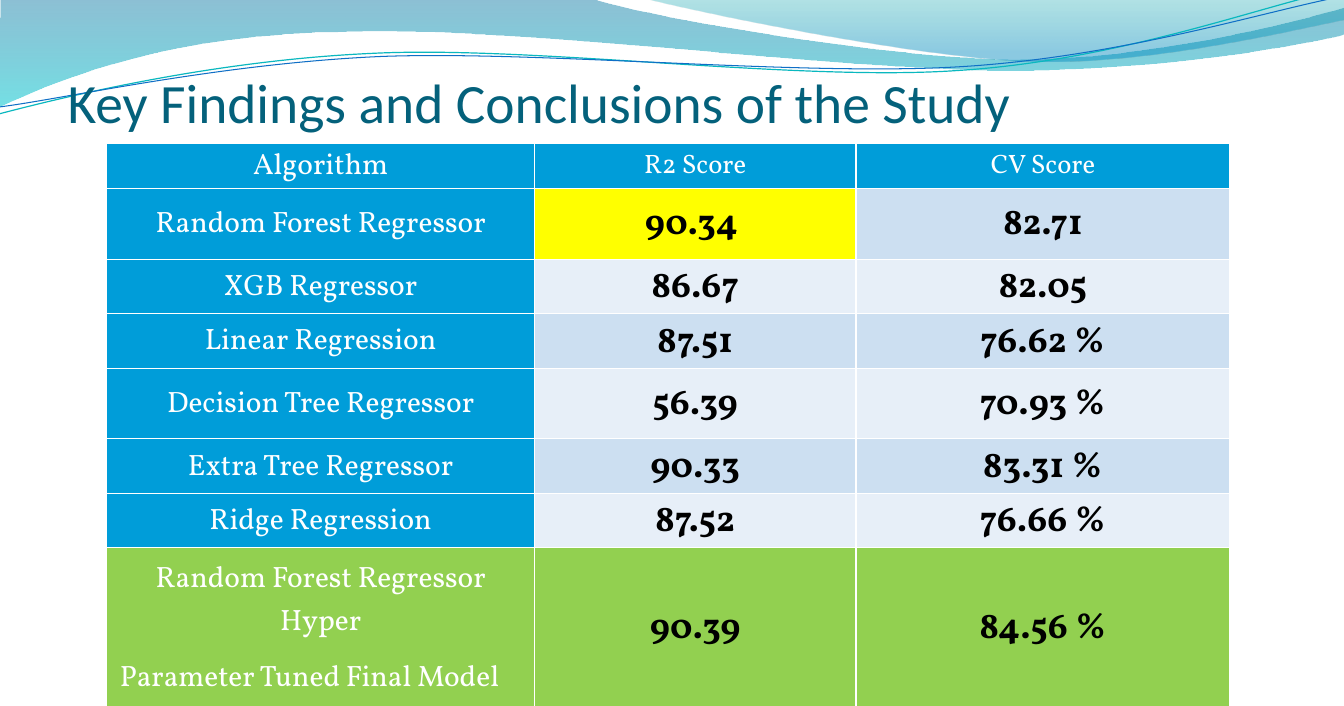
from math import cos, radians, sin

from lxml.etree import SubElement
from pptx import Presentation
from pptx.dml.color import RGBColor
from pptx.enum.text import MSO_ANCHOR, MSO_AUTO_SIZE, PP_ALIGN
from pptx.oxml.ns import qn
from pptx.util import Inches, Pt

COLORS = {
    "title": "04617B", "white": "FFFFFF", "black": "000000",
    "header": "009DD9", "band_dark": "CCDFF1", "band_light": "E7EFF8",
    "best": "FFFF00", "final": "92D050",
    "deep_blue": "0074A1", "cyan": "00C6CF", "teal": "00A1A9",
    "sky": "008BBF", "teal_line": "0AB8BF", "blue_line": "0F6FC6",
}
RIPPLE_TILT = 2.7
RIPPLE_CENTER = (6.66, 0.54)


def rgb(name):
    return RGBColor.from_string(COLORS[name])


def apply(target, values):
    for name, value in values.items():
        setattr(target, name, value)


def level(x, y):
    """Turn a point of a tilted ripple back to the horizontal."""
    angle = radians(RIPPLE_TILT)
    cx, cy = RIPPLE_CENTER
    dx, dy = x - cx, y - cy
    return cx + dx * cos(angle) - dy * sin(angle), cy + dx * sin(angle) + dy * cos(angle)


class SlideBuilder:
    title_font = "Calibri"
    table_font = "Vollkorn"

    def __init__(self, slide):
        self.slide = slide

    def outline(self, start, segments, close):
        """Draw segments of one point (line) or three points (Bezier curve)."""
        points = [(Inches(x), Inches(y)) for segment in segments for x, y in segment]
        builder = self.slide.shapes.build_freeform(
            Inches(start[0]), Inches(start[1]), scale=1.0)
        builder.add_line_segments(points, close=close)
        shape = builder.convert_to_shape()
        shape.shadow.inherit = False
        # Join the three points of each curve into one Bezier element
        lines = iter(list(shape._element.iter(qn("a:lnTo"))))
        for segment in segments:
            first, *others = [next(lines) for _ in segment]
            if others:
                first.tag = qn("a:cubicBezTo")
            for other in others:
                first.append(other[0])
                other.getparent().remove(other)
        return shape

    def wave(self, start, segments, stops):
        shape = self.outline(start, segments, True)
        shape.line.fill.background()
        shape.fill.gradient()
        shape.fill.gradient_angle = 270
        for stop, (position, color, _) in zip(shape.fill.gradient_stops, stops):
            stop.position = position
            stop.color.rgb = rgb(color)
        colors = shape.fill._xPr.iter(qn("a:srgbClr"))
        for element, (_, _, opacity) in zip(colors, stops):
            SubElement(element, qn("a:alpha"), val=str(opacity * 1000))

    def ripple(self, start, curves, color, width):
        curves = [[level(*point) for point in curve] for curve in curves]
        shape = self.outline(level(*start), curves, False)
        shape.rotation = 360 - RIPPLE_TILT
        shape.fill.background()
        shape.line.color.rgb = rgb(color)
        shape.line.width = Pt(width)

    def title(self, text, left, top, width, height):
        title = self.slide.shapes.title
        apply(title, dict(left=Inches(left), top=Inches(top),
                          width=Inches(width), height=Inches(height)))
        frame = title.text_frame
        frame.text = text
        apply(frame, dict(margin_left=0, margin_right=0, margin_bottom=0,
                          margin_top=Inches(0.05), word_wrap=True,
                          auto_size=MSO_AUTO_SIZE.NONE,
                          vertical_anchor=MSO_ANCHOR.BOTTOM))
        paragraph = frame.paragraphs[0]
        paragraph.alignment = PP_ALIGN.LEFT
        apply(paragraph.runs[0].font, dict(name=self.title_font, size=Pt(39.6)))
        paragraph.runs[0].font.color.rgb = rgb("title")
        # Bring the title in front of the waves
        self.slide.shapes._spTree.append(title._element)

    def cell(self, cell, text, fill, size, color="white", bold=False):
        cell.text = text
        apply(cell, dict(margin_left=Inches(0.07), margin_right=Inches(0.07),
                         margin_top=0, margin_bottom=0,
                         vertical_anchor=MSO_ANCHOR.MIDDLE))
        for number, paragraph in enumerate(cell.text_frame.paragraphs):
            apply(paragraph, dict(alignment=PP_ALIGN.LEFT if number else PP_ALIGN.CENTER,
                                  line_spacing=1.07, space_after=Pt(8)))
            for run in paragraph.runs:
                apply(run.font, dict(name=self.table_font, size=Pt(size), bold=bold))
                run.font.color.rgb = rgb(color)
        # Borders go before the fill in the cell properties
        properties = cell._tc.get_or_add_tcPr()
        for side in "LRTB":
            border = SubElement(properties, qn(f"a:ln{side}"), w=str(Pt(1)))
            solid = SubElement(border, qn("a:solidFill"))
            SubElement(solid, qn("a:srgbClr"), val=COLORS["white"])
        cell.fill.solid()
        cell.fill.fore_color.rgb = rgb(fill)

    def table(self, header, rows, left, top, widths, heights):
        table = self.slide.shapes.add_table(
            len(heights), len(widths), Inches(left), Inches(top),
            Inches(sum(widths)), Inches(sum(heights))).table
        apply(table, dict(first_row=False, horz_banding=False))
        for column, width in zip(table.columns, widths):
            column.width = Inches(width)
        for row, height in zip(table.rows, heights):
            row.height = Inches(height)
        for c, text in enumerate(header):
            self.cell(table.cell(0, c), text, "header", 19 if c else 21)
        for r, (algorithm, *scores) in enumerate(rows, start=1):
            final = r == len(rows)
            band = "final" if final else "band_dark" if r % 2 else "band_light"
            self.cell(table.cell(r, 0), algorithm, "final" if final else "header", 21)
            for c, score in enumerate(scores, start=1):
                fill = "best" if (r, c) == (1, 1) else band
                self.cell(table.cell(r, c), score, fill, 26, "black", True)


def main():
    presentation = Presentation()
    apply(presentation, dict(slide_width=Inches(13.33), slide_height=Inches(7)))
    builder = SlideBuilder(presentation.slides.add_slide(presentation.slide_layouts[5]))

    # Waves along the top edge
    builder.wave((0, 0), [
        [(5.87, -0.01)],
        [(6.34, 0.16), (8.84, 0.59), (10.11, 0.59)],
        [(11.37, 0.59), (12.77, 0.24), (13.33, 0.08)],
        [(13.34, 0.34)],
        [(13.11, 0.41), (11.59, 0.71), (9.94, 0.7)],
        [(8.29, 0.7), (5.09, 0.26), (3.43, 0.32)],
        [(1.72, 0.33), (0.61, 0.77), (-0.01, 1.06)],
    ], [(0, "deep_blue", 45), (1, "cyan", 55)])
    builder.wave((6.39, -0.01), [
        [(6.79, 0.1), (9.09, 0.58), (10.25, 0.61)],
        [(11.4, 0.64), (12.82, 0.3), (13.33, 0.2)],
        [(13.33, 0)],
    ], [(0, "teal", 30), (0.8, "sky", 45)])
    builder.ripple((-0.01, 1.13), [
        [(0.64, 0.96), (2.11, 0.6), (3.69, 0.53)],
        [(5.27, 0.45), (7.89, 0.81), (9.49, 0.7)],
        [(11.1, 0.6), (12.51, 0.06), (13.31, -0.11)],
    ], "teal_line", 0.85)
    builder.ripple((0, 1.06), [
        [(0.63, 0.98), (2.18, 0.63), (3.78, 0.56)],
        [(5.37, 0.5), (7.96, 0.76), (9.55, 0.66)],
        [(11.14, 0.56), (12.55, 0.11), (13.33, -0.04)],
    ], "blue_line", 0.75)

    # Title
    builder.title("Key Findings and Conclusions of the Study", 0.67, 0.72, 12, 0.61)

    # Score table
    builder.table(("Algorithm", "R2 Score", "CV Score"), [
        ("Random Forest Regressor", "90.34 ", "82.71"),
        ("XGB Regressor", "86.67", "82.05"),
        ("Linear Regression", "87.51", "76.62 %"),
        ("Decision Tree Regressor", "56.39", "70.93 %"),
        ("Extra Tree Regressor", "90.33", "83.31 %"),
        ("Ridge Regression", "87.52", "76.66 %"),
        ("Random Forest Regressor Hyper\n Parameter Tuned Final Model", "90.39", "84.56 %"),
    ], 1.06, 1.42, (4.24, 3.19, 3.71), (0.45, 0.7, 0.45, 0.45, 0.7, 0.45, 0.45, 1.58))

    presentation.save("out.pptx")


if __name__ == "__main__":
    main()
